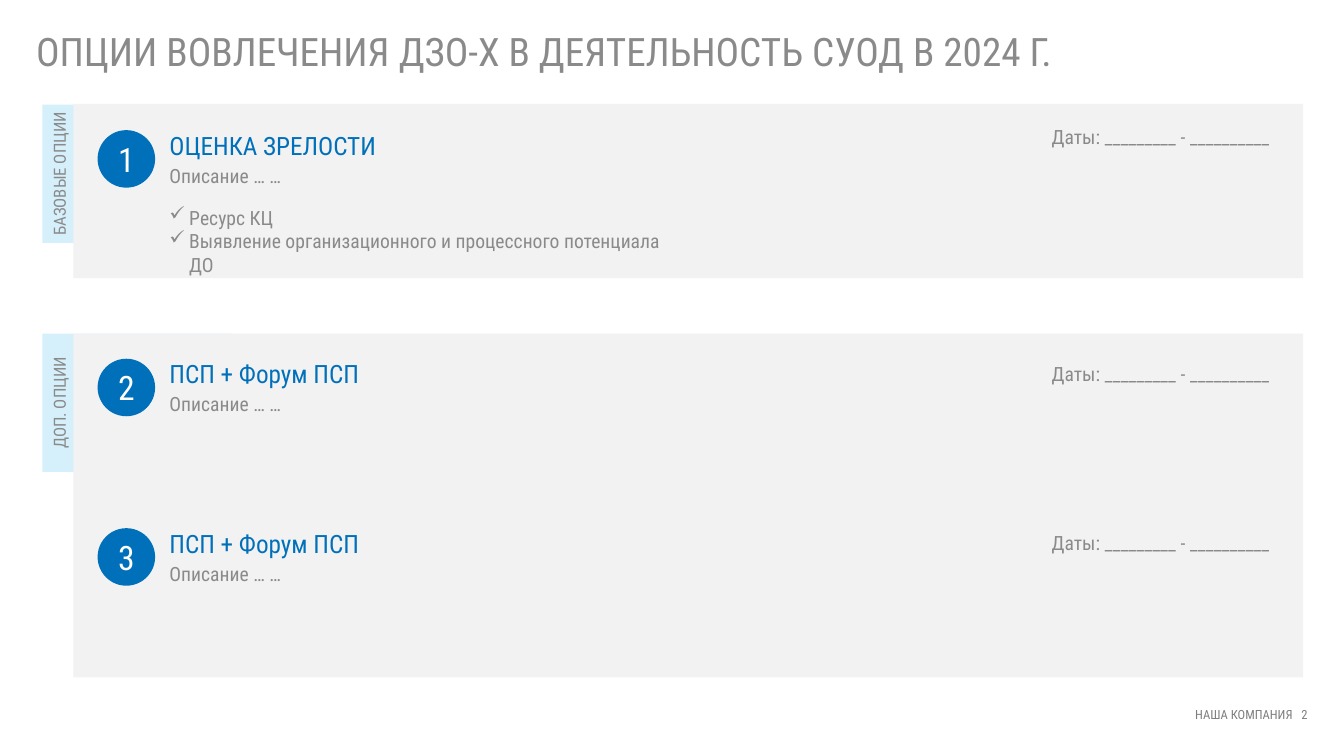
from pptx import Presentation
from pptx.dml.color import RGBColor
from pptx.enum import shapes, text
from pptx.oxml import parse_xml
from pptx.oxml.ns import nsdecls
from pptx.util import Cm, Pt

TITLE = "ОПЦИИ ВОВЛЕЧЕНИЯ ДЗО-Х В ДЕЯТЕЛЬНОСТЬ СУОД В 2024 Г."
FOOTER = "НАША КОМПАНИЯ\u00a0\u00a0 2"
DESCRIPTION = "Описание … …"
DATES = "Даты: _________ - __________"
# label, panel top, panel height, tab top (cm)
SECTIONS = [
    ("БАЗОВЫЕ ОПЦИИ", 2.62, 4.39, 2.64),
    ("ДОП. ОПЦИИ", 8.41, 8.66, 8.41),
]
# heading, top, top of the dates (cm), benefits
OPTIONS = [
    ("ОЦЕНКА ЗРЕЛОСТИ", 3.28, 3.15,
     ["Ресурс КЦ", "Выявление организационного и процессного потенциала ДО"]),
    ("ПСП + Форум ПСП", 9.04, 9.12, []),
    ("ПСП + Форум ПСП", 13.31, 13.39, []),
]

FONT = "Roboto Condensed"
BLUE = RGBColor(0x00, 0x70, 0xBA)
PALE_BLUE = RGBColor(0xD5, 0xF0, 0xFB)
PALE_GREY = RGBColor(0xF2, 0xF2, 0xF2)
GREY = RGBColor(0x8A, 0x8A, 0x8A)
FOOTER_GREY = RGBColor(0x7E, 0x7E, 0x7E)
WHITE = RGBColor(0xFF, 0xFF, 0xFF)

LEFT, CENTER, RIGHT = (text.PP_ALIGN.LEFT, text.PP_ALIGN.CENTER,
                       text.PP_ALIGN.RIGHT)
RECTANGLE, OVAL = shapes.MSO_SHAPE.RECTANGLE, shapes.MSO_SHAPE.OVAL

TAB_LEFT, TAB_WIDTH, TAB_HEIGHT = 1.07, 4.8, 3.48
PANEL_LEFT, PANEL_WIDTH = 1.85, 30.99
LABEL_CENTER, LABEL_HEIGHT = 1.49, 0.51
BADGE_LEFT, BADGE_SIZE = 2.46, 1.45
TEXT_LEFT, TEXT_WIDTH = 4.27, 7.11

deck = Presentation()
deck.slide_width, deck.slide_height = Cm(33.87), Cm(19.05)
page = deck.slides.add_slide(deck.slide_layouts[6])


def style(frame, size, color, align):
    for para in frame.paragraphs:
        para.alignment = align
        for span in para.runs:
            span.font.name = FONT
            span.font.size = Pt(size)
            span.font.color.rgb = color


def add_block(kind, left, top, width, height, color):
    block = page.shapes.add_shape(kind, Cm(left), Cm(top), Cm(width), Cm(height))
    block.shadow.inherit = False
    block.fill.solid()
    block.fill.fore_color.rgb = color
    block.line.fill.background()
    return block


def add_text(words, left, top, width, height, size, color=GREY, align=LEFT,
             tight=True):
    """Add a text box; a tight one has no margins and grows with its text."""
    box = page.shapes.add_textbox(Cm(left), Cm(top), Cm(width), Cm(height))
    frame = box.text_frame
    frame.word_wrap = True
    if tight:
        frame.margin_left = frame.margin_right = 0
        frame.margin_top = frame.margin_bottom = 0
        frame.auto_size = text.MSO_AUTO_SIZE.SHAPE_TO_FIT_TEXT
    frame.text = words
    style(frame, size, color, align)
    return box


def add_ticks(box):
    for para in box.text_frame.paragraphs:
        props = para._p.get_or_add_pPr()
        props.set("marL", str(Cm(0.5)))
        props.set("indent", str(-Cm(0.5)))
        props.append(parse_xml(f'<a:buChar {nsdecls("a")} char="✓"/>'))


def add_section(label, top, height, tab_top):
    add_block(RECTANGLE, TAB_LEFT, tab_top, TAB_WIDTH, TAB_HEIGHT, PALE_BLUE)
    add_block(RECTANGLE, PANEL_LEFT, top, PANEL_WIDTH, height, PALE_GREY)
    label_box = add_text(label, LABEL_CENTER - TAB_HEIGHT / 2,
                         tab_top + (TAB_HEIGHT - LABEL_HEIGHT) / 2,
                         TAB_HEIGHT, LABEL_HEIGHT, 12, align=CENTER)
    label_box.rotation = 270


def add_option(number, heading, top, dates_top, benefits):
    badge = add_block(OVAL, BADGE_LEFT, top, BADGE_SIZE, BADGE_SIZE, BLUE)
    badge.text_frame.text = str(number)
    badge.text_frame.vertical_anchor = text.MSO_ANCHOR.MIDDLE
    style(badge.text_frame, 24, WHITE, CENTER)
    add_text(heading, TEXT_LEFT, top, TEXT_WIDTH, 0.76, 18, BLUE)
    add_text(DESCRIPTION, TEXT_LEFT, top + 0.84, TEXT_WIDTH, 0.61, 14)
    add_text(DATES, 25.45, dates_top, 6.55, 0.61, 14, align=RIGHT)
    if benefits:
        add_ticks(add_text("\n".join(benefits), TEXT_LEFT, top + 1.9,
                           12.67, 1.19, 14))


title = add_text(TITLE, 0.66, 0.79, 29.62, 1.93, 28, tight=False)
title.text_frame.paragraphs[0].line_spacing = 0.8
footer = add_text(FOOTER, 24.26, 17.5, 8.94, 1.02, 9, FOOTER_GREY, RIGHT,
                  tight=False)
footer.text_frame.vertical_anchor = text.MSO_ANCHOR.MIDDLE
for section in SECTIONS:
    add_section(*section)
for number, option in enumerate(OPTIONS, 1):
    add_option(number, *option)

deck.save("out.pptx")
